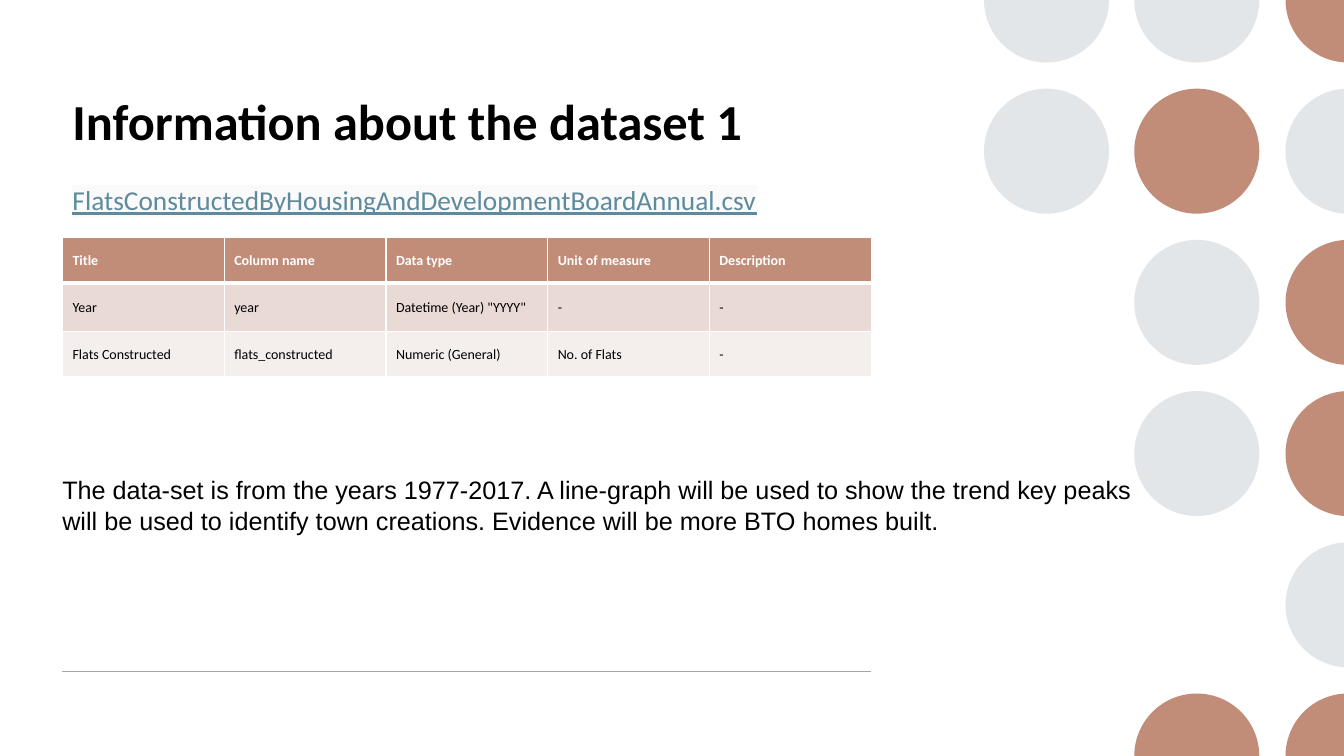
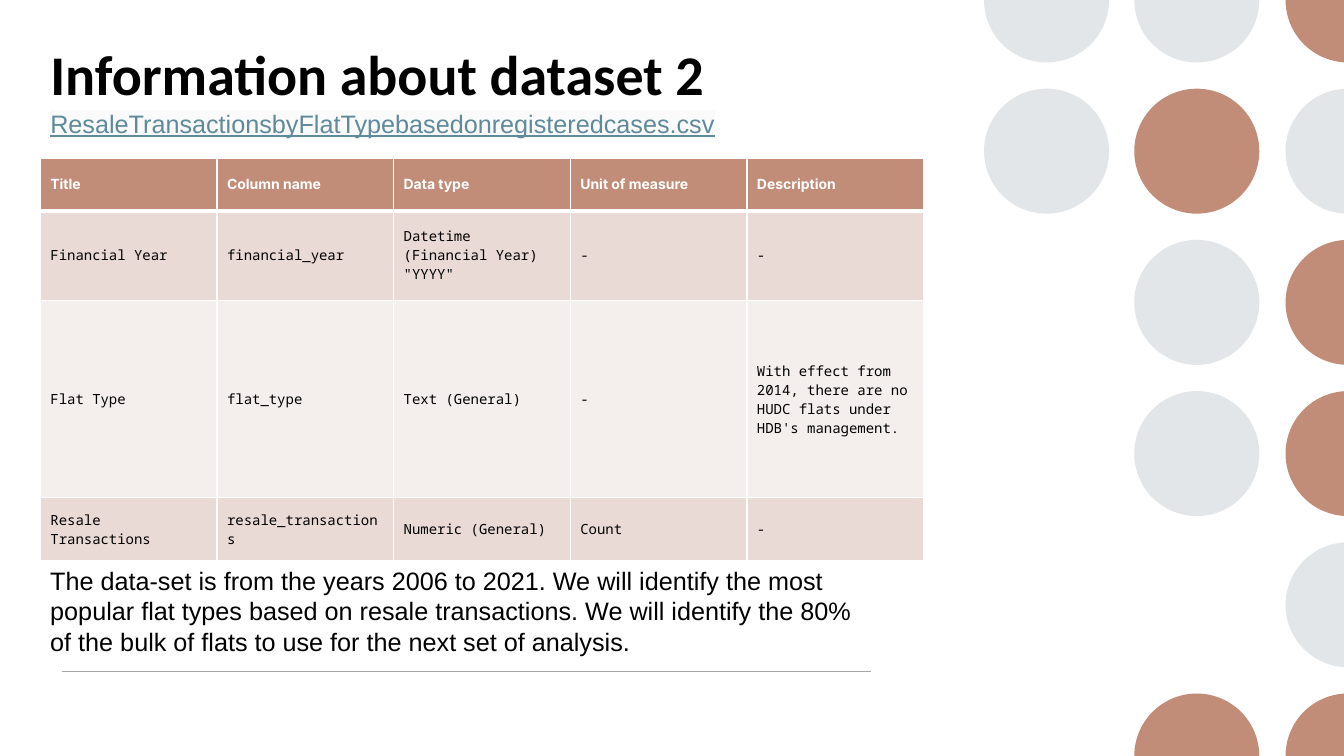
"""Builds two slides that describe the housing datasets."""
import math
from dataclasses import dataclass

from lxml import etree
from pptx import Presentation
from pptx import util as u
from pptx.dml.color import RGBColor
from pptx.enum import shapes, text
from pptx.oxml import ns


@dataclass(frozen=True)
class Theme:
    black: str = "000000"
    white: str = "FFFFFF"
    accent: str = "C18C78"
    pale: str = "E2E6E8"
    rule: str = "A6A6A6"
    link: str = "5E8A9B"
    link_back: str = "FAFAFA"
    bands: tuple = ("E9DAD6", "F4EEEC")
    heading_font: str = "Calibri"
    body_font: str = "Arial"
    body_size: float = 18
    cell_size: float = 10


theme = Theme()


def write(frame, words, font, size, color=theme.black, bold=False,
          underline=False, back=None, spacing=None):
    frame.word_wrap = True
    paragraph = frame.paragraphs[0]
    if spacing:
        paragraph.line_spacing = spacing
    run = paragraph.add_run()
    run.text = words
    run.font.size = u.Pt(size)
    run.font.bold = bold
    run.font.underline = underline
    run.font.color.rgb = RGBColor.from_string(color)
    if back:
        highlight = etree.Element(ns.qn("a:highlight"))
        etree.SubElement(highlight, ns.qn("a:srgbClr"), val=back)
        run.font.fill._xPr.find(ns.qn("a:solidFill")).addnext(highlight)
    run.font.name = font


def add_border(cell, side, points):
    edge = etree.SubElement(cell._tc.get_or_add_tcPr(), ns.qn("a:ln" + side),
                            w=str(u.Pt(points)))
    fill = etree.SubElement(edge, ns.qn("a:solidFill"))
    etree.SubElement(fill, ns.qn("a:srgbClr"), val=theme.white)


slide_width, slide_height = 13.33, 7.5
radius = 0.62
dot_columns = (10.38, 11.87, 13.37)
dot_pitch = 1.5
dot_rows = ("PPA", "PAP", " PA", " PA", "  P", " AA")
dot_colors = {"P": theme.pale, "A": theme.accent}
header = ("Title", "Column name", "Data type", "Unit of measure", "Description")

datasets = [
    dict(
        title=("Information about the dataset 1", (0.62, 0.84, 8.02, 1.39), 36),
        link=("FlatsConstructedByHousingAndDevelopmentBoardAnnual.csv",
              (0.62, 1.77, 11.02, 1.39), theme.heading_font, 19.5, None),
        summary=("The data-set is from the years 1977-2017. A line-graph will be used to "
                 "show the trend key peaks will be used to identify town creations. "
                 "Evidence will be more BTO homes built.", (0.52, 4.66, 10.86, 0.71)),
        table_at=(0.62, 2.36, 8.02),
        row_heights=(0.45, 0.48, 0.45),
        fonts=("Calibri", "Calibri"),
        fields=[
            ("Year", "year", 'Datetime (Year) "YYYY"', "-", "-"),
            ("Flats Constructed", "flats_constructed", "Numeric (General)",
             "No. of Flats", "-"),
        ],
    ),
    dict(
        title=("Information about dataset 2", (0.4, 0.34, 8.02, 1.39), 40),
        link=("ResaleTransactionsbyFlatTypebasedonregisteredcases.csv",
              (0.4, 1.08, 8.02, 1.39), theme.body_font, 18, 0.8),
        summary=("The data-set is from the years 2006 to 2021. We will identify the most "
                 "popular flat types based on resale transactions. We will identify the "
                 "80% of the bulk of flats to use for the next set of analysis.",
                 (0.4, 5.56, 8.36, 1.01)),
        table_at=(0.4, 1.57, 8.76),
        row_heights=(0.52, 0.89, 1.96, 0.62),
        fonts=("Inter", "Noto Sans Mono"),
        fields=[
            ("Financial Year", "financial_year", 'Datetime (Financial Year) "YYYY"',
             "-", "-"),
            ("Flat Type", "flat_type", "Text (General)", "-",
             "With effect from 2014, there are no HUDC flats under HDB's management."),
            ("Resale Transactions", "resale_transactions", "Numeric (General)",
             "Count", "-"),
        ],
    ),
]

deck = Presentation()
deck.slide_width = u.Inches(slide_width)
deck.slide_height = u.Inches(slide_height)

for dataset in datasets:
    slide = deck.slides.add_slide(deck.slide_layouts[6])

    for row, pattern in enumerate(dot_rows):
        for x, code in zip(dot_columns, pattern):
            if code == " ":
                continue
            y = row * dot_pitch
            at_top, at_bottom = row == 0, row == len(dot_rows) - 1
            at_right = x + radius > slide_width
            if not (at_top or at_bottom or at_right):
                dot = slide.shapes.add_shape(
                    shapes.MSO_SHAPE.OVAL, u.Inches(x - radius), u.Inches(y - radius),
                    u.Inches(2 * radius), u.Inches(2 * radius))
            else:
                cut = math.degrees(math.acos(min(1, (slide_width - x) / radius)))
                first = 180 if at_bottom else cut
                last = 180 if at_top else 360 - cut
                stops = [first, *(a for a in (90, 180, 270) if first < a < last), last]
                outline = [(u.Inches(x + radius * math.cos(math.radians(a))),
                            u.Inches(y + radius * math.sin(math.radians(a))))
                           for a in stops]
                if at_right and (at_top or at_bottom):
                    outline.append((u.Inches(slide_width), u.Inches(y)))
                builder = slide.shapes.build_freeform(*outline[0])
                builder.add_line_segments(outline[1:])
                dot = builder.convert_to_shape()
                sides = list(dot._element.iter(ns.qn("a:lnTo")))
                for side, start, end in zip(sides, stops, stops[1:]):
                    arc = etree.Element(
                        ns.qn("a:arcTo"), wR=str(u.Inches(radius)),
                        hR=str(u.Inches(radius)), stAng=str(round(start * 60000)),
                        swAng=str(round((end - start) * 60000)))
                    side.getparent().replace(side, arc)
            dot.shadow.inherit = False
            dot.fill.solid()
            dot.fill.fore_color.rgb = RGBColor.from_string(dot_colors[code])
            dot.line.fill.background()

    footer_rule = slide.shapes.add_connector(
        shapes.MSO_CONNECTOR.STRAIGHT, u.Inches(0.62), u.Inches(6.66),
        u.Inches(8.64), u.Inches(6.66))
    footer_rule.line.color.rgb = RGBColor.from_string(theme.rule)
    footer_rule.line.width = u.Pt(1)
    etree.SubElement(footer_rule._element.spPr, ns.qn("a:effectLst"))

    title, title_at, title_size = dataset["title"]
    link, link_at, link_font, link_size, link_spacing = dataset["link"]
    summary, summary_at = dataset["summary"]
    for words, place, style in (
        (title, title_at, dict(font=theme.heading_font, size=title_size, bold=True)),
        (link, link_at, dict(font=link_font, size=link_size, color=theme.link,
                             underline=True, back=theme.link_back,
                             spacing=link_spacing)),
        (summary, summary_at, dict(font=theme.body_font, size=theme.body_size)),
    ):
        box = slide.shapes.add_textbox(*map(u.Inches, place))
        write(box.text_frame, words, **style)

    left, top, width = dataset["table_at"]
    heights = dataset["row_heights"]
    rows = [header] + dataset["fields"]
    table = slide.shapes.add_table(
        len(rows), len(header), u.Inches(left), u.Inches(top),
        u.Inches(width), u.Inches(sum(heights))).table
    for column in table.columns:
        column.width = u.Inches(width / len(header))
    header_font, field_font = dataset["fonts"]
    for row, values in enumerate(rows):
        table.rows[row].height = u.Inches(heights[row])
        is_header = row == 0
        for column, value in enumerate(values):
            cell = table.cell(row, column)
            cell.vertical_anchor = text.MSO_ANCHOR.MIDDLE
            for side, points in (("L", 1), ("R", 1), ("T", 3 if row == 1 else 1),
                                 ("B", 3 if is_header else 1)):
                add_border(cell, side, points)
            cell.fill.solid()
            cell.fill.fore_color.rgb = RGBColor.from_string(
                theme.accent if is_header else theme.bands[(row - 1) % 2])
            write(cell.text_frame, value, header_font if is_header else field_font,
                  theme.cell_size, theme.white if is_header else theme.black,
                  bold=is_header)

deck.save("out.pptx")
